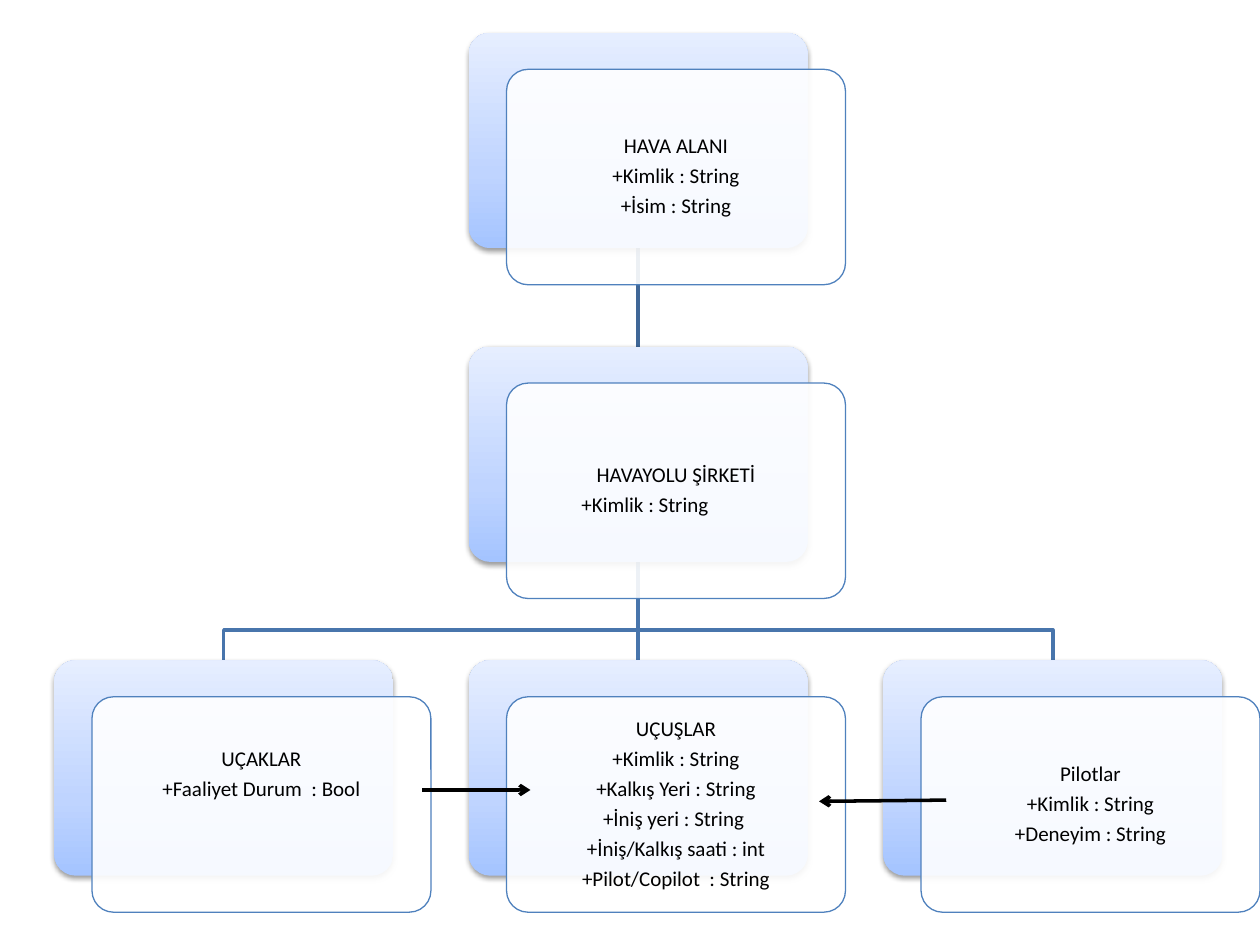
from lxml.etree import SubElement
from pptx import Presentation
from pptx.dml.color import RGBColor
from pptx.enum.shapes import MSO_CONNECTOR, MSO_SHAPE
from pptx.enum.text import MSO_ANCHOR, PP_ALIGN
from pptx.oxml import parse_xml
from pptx.oxml.ns import nsdecls, qn
from pptx.util import Inches, Pt

WIDE, HIGH = 2.69, 1.71
COLS = [0.43, 3.72, 7.01]
ROWS = [0.26, 2.75, 5.24]
SHIFT_X, SHIFT_Y = 0.3, 0.29
STOPS = [(0, "A4C4FF"), (35, "BFD4FF"), (100, "E6EEFF")]
CARDS = [
    (1, 0, ["HAVA ALANI", "+Kimlik : String", "+İsim : String"], 0.05),
    (1, 1, ["HAVAYOLU ŞİRKETİ", "+Kimlik : String\t"], 0.05),
    (0, 2, ["UÇAKLAR", "+Faaliyet Durum  : Bool"], 0.53),
    (1, 2, ["UÇUŞLAR", "+Kimlik : String", "+Kalkış Yeri : String",
            "+İniş yeri : String ", "+İniş/Kalkış saati : int",
            "+Pilot/Copilot  : String"], 0.05),
    (2, 2, ["Pilotlar", "+Kimlik : String", "+Deneyim : String"], 0.05),
]


def color(code):
    """Turn a hex string into a colour."""
    return RGBColor.from_string(code)


def stroke(line, code, width):
    """Set the colour and width of a line."""
    line.color.rgb = color(code)
    line.width = Pt(width)


def add_line(slide, start, end, code, arrow=False):
    """Add a straight line, with an arrowhead at its end if asked."""
    x1, y1, x2, y2 = (Inches(n) for n in (*start, *end))
    link = slide.shapes.add_connector(MSO_CONNECTOR.STRAIGHT, x1, y1, x2, y2)
    stroke(link.line, code, 2)
    if arrow:
        SubElement(link.line._get_or_add_ln(), qn("a:tailEnd"), type="arrow")
    SubElement(link._element.spPr, qn("a:effectLst"))


def add_elbow(slide, points, code):
    """Add an open bent line through the points."""
    first, *rest = [(Inches(x), Inches(y)) for x, y in points]
    pen = slide.shapes.build_freeform(*first, scale=1.0)
    pen.add_line_segments(rest, close=False)
    elbow = pen.convert_to_shape()
    elbow.shadow.inherit = False
    elbow.fill.background()
    stroke(elbow.line, code, 2)


def add_round(slide, left, top):
    """Add a rounded box of the common size."""
    box = slide.shapes.add_shape(MSO_SHAPE.ROUNDED_RECTANGLE, Inches(left),
                                 Inches(top), Inches(WIDE), Inches(HIGH))
    box.adjustments[0] = 0.1
    box.shadow.inherit = False
    return box


def add_back(slide, left, top):
    """Add the shaded box behind a card."""
    back = add_round(slide, left, top)
    back.line.fill.background()
    stops = "".join(f'<a:gs pos="{at * 1000}"><a:srgbClr val="{code}"/></a:gs>'
                    for at, code in STOPS)
    props = back._element.spPr
    props.find(qn("a:prstGeom")).addnext(parse_xml(
        f'<a:gradFill {nsdecls("a")} rotWithShape="1"><a:gsLst>{stops}</a:gsLst>'
        '<a:lin ang="16200000" scaled="0"/></a:gradFill>'))
    shade = SubElement(props.find(qn("a:effectLst")), qn("a:outerShdw"),
                       blurRad=str(Pt(3.1)), dist=str(Pt(1.6)),
                       dir="5400000", rotWithShape="0")
    tint = SubElement(shade, qn("a:srgbClr"), val="000000")
    SubElement(tint, qn("a:alpha"), val="38000")


def add_text(box, lines, base):
    """Write centred lines in a box with the given bottom inset."""
    frame = box.text_frame
    frame.word_wrap = True
    frame.vertical_anchor = MSO_ANCHOR.MIDDLE
    frame.margin_left = frame.margin_right = frame.margin_top = Inches(0.05)
    frame.margin_bottom = Inches(base)
    for i, line in enumerate(lines):
        para = frame.add_paragraph() if i else frame.paragraphs[0]
        para.alignment = PP_ALIGN.CENTER
        para.line_spacing = 0.9
        para.space_after = Pt(4.2)
        run = para.add_run()
        run.text = line
        run.font.size = Pt(12)
        run.font.name = "Calibri"
        run.font.color.rgb = color("000000")


def add_card(slide, col, row, lines, base):
    """Add a class card: shaded back and clear front with text."""
    left, top = COLS[col], ROWS[row]
    add_back(slide, left, top)
    front = add_round(slide, left + SHIFT_X, top + SHIFT_Y)
    front.fill.solid()
    front.fill.fore_color.rgb = color("FFFFFF")
    tint = front._element.spPr.find(qn("a:solidFill"))[0]
    SubElement(tint, qn("a:alpha"), val="90000")
    stroke(front.line, "4F81BD", 0.75)
    add_text(front, lines, base)


def main():
    """Build the class diagram and save it."""
    deck = Presentation()
    deck.slide_width, deck.slide_height = Inches(10), Inches(7.5)
    slide = deck.slides.add_slide(deck.slide_layouts[6])
    left, mid, right = (x + WIDE / 2 for x in COLS)
    low, end = ROWS[1] + HIGH, ROWS[2]
    for side in (right, left):
        add_elbow(slide, [(mid, low), (mid, 5), (side, 5), (side, end)], "4875AC")
    add_line(slide, (mid, low), (mid, end), "4875AC")
    add_line(slide, (mid, ROWS[0] + HIGH), (mid, ROWS[1]), "3F6797")
    for card in CARDS:
        add_card(slide, *card)
    add_line(slide, (3.35, 6.27), (4.21, 6.27), "000000", True)
    add_line(slide, (7.51, 6.35), (6.5, 6.36), "000000", True)
    deck.save("out.pptx")


main()
